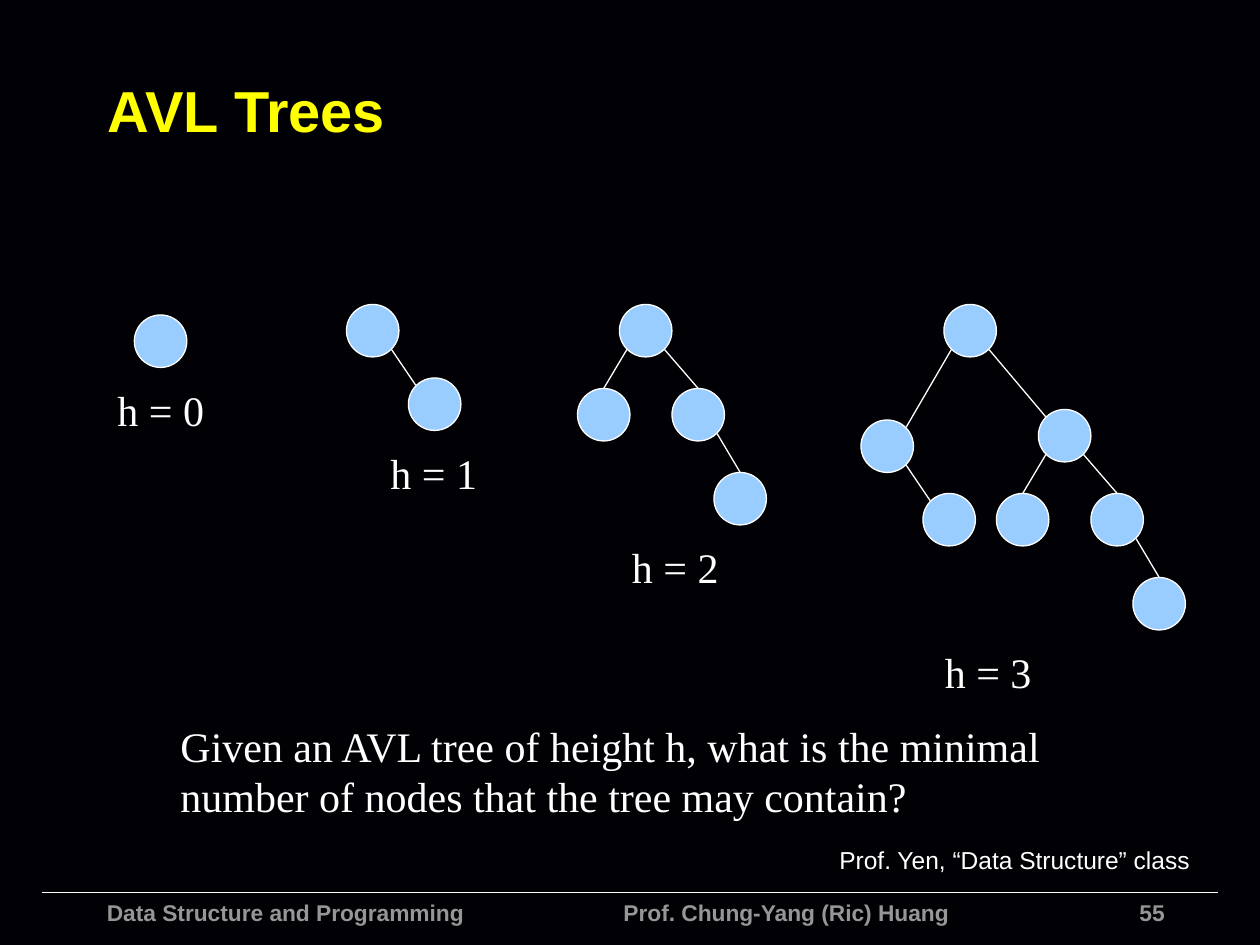
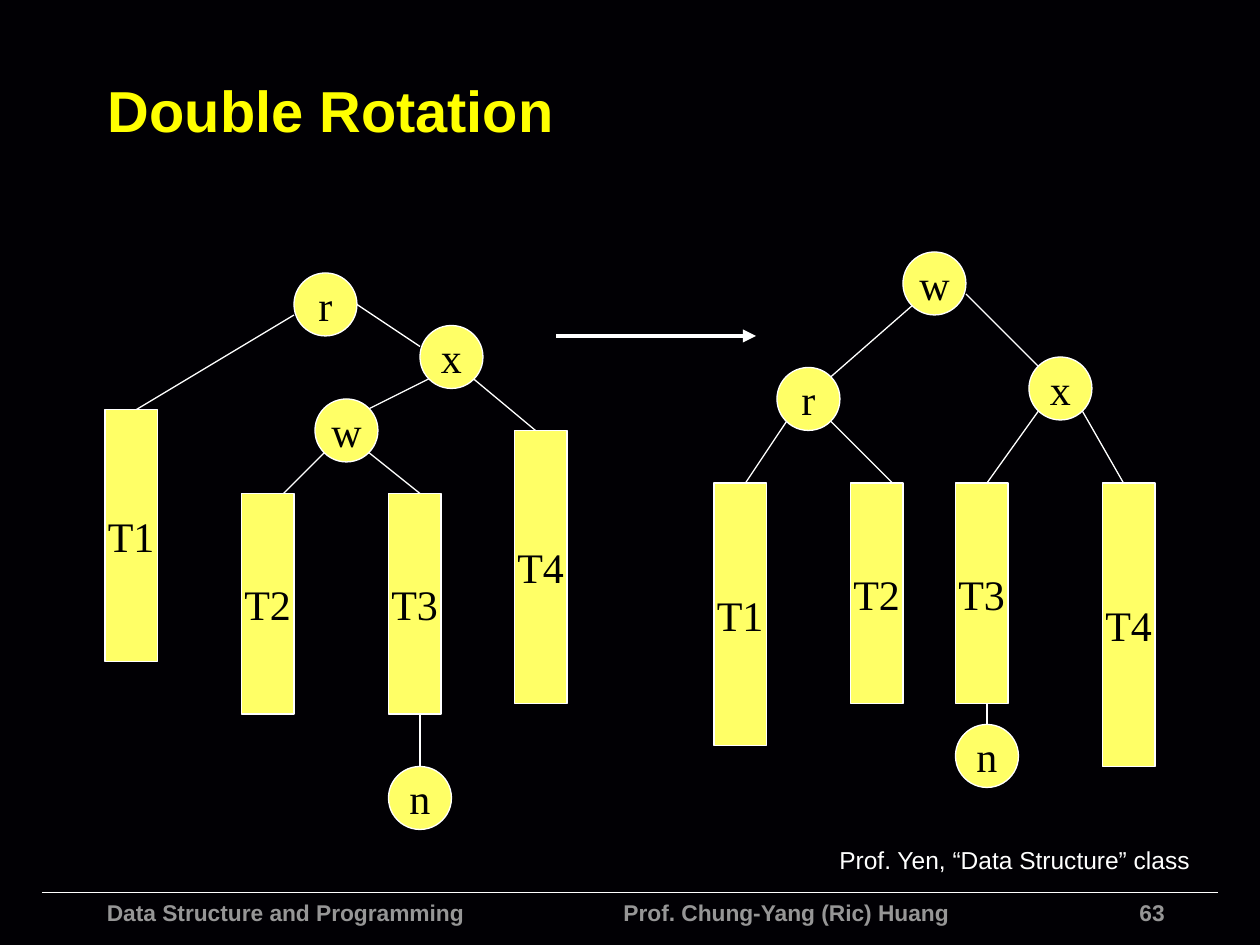
from lxml.etree import SubElement
from pptx import Presentation
from pptx.dml.color import RGBColor
from pptx.enum.shapes import MSO_CONNECTOR, MSO_SHAPE
from pptx.enum.text import MSO_ANCHOR, PP_ALIGN
from pptx.oxml.ns import qn
from pptx.util import Pt

PX = 7620  # EMU per px, 120 px to the inch
COLORS = {
    "background": "010004", "title": "FFFF00", "text": "FFFFFF", "footer": "969696",
    "avl_node": "99CCFF", "rotation": "FFFF66", "label": "000000",
}
SANS, SERIF = "Arial", "Times New Roman"
NODE = 50          # diameter of an AVL tree node
CIRCLE, BAR = 60, 50  # rotation node diameter, subtree bar width

# A tree is a list of children: (dx, dy, where the edge ends, subtree)
TOP, DIAGONAL = "top", "diagonal"
H0 = []
H1 = [(59, 70, DIAGONAL, H0)]
H2 = [(-40, 80, TOP, H0), (50, 80, TOP, [(40, 80, TOP, H0)])]
H3 = [(-79, 110, DIAGONAL, H1), (90, 100, DIAGONAL, H2)]

# Root position, tree, and label offset from the root
AVL_TREES = [
    ((128, 300), H0, (-28, 60)),
    ((330, 290), H1, (30, 130)),
    ((590, 290), H2, (0, 220)),
    ((899, 290), H3, (-11, 320)),
]

# Circles (name, x, y), bars (name, x, y, height) and edges, relative to a box
BEFORE = {
    "circles": [("r", 180, 0), ("w", 200, 120), ("x", 300, 50), ("n", 270, 470)],
    "bars": [("T1", 0, 130, 240), ("T2", 130, 210, 210),
             ("T3", 270, 210, 210), ("T4", 390, 150, 260)],
    "edges": [(180, 40, 30, 130), (240, 30, 300, 70), (310, 100, 250, 130),
              (350, 100, 410, 150), (210, 170, 170, 210), (250, 170, 300, 210),
              (300, 420, 300, 470)],
}
AFTER = {
    "circles": [("w", 180, 0), ("r", 60, 110), ("x", 300, 100), ("n", 230, 450)],
    "bars": [("T1", 0, 220, 250), ("T2", 130, 220, 210),
             ("T3", 230, 220, 210), ("T4", 370, 220, 270)],
    "edges": [(190, 50, 110, 120), (240, 40, 310, 110), (70, 160, 30, 220),
              (110, 160, 170, 220), (310, 150, 260, 220), (350, 150, 390, 220),
              (260, 430, 260, 450)],
}


def rgb(name):
    return RGBColor.from_string(COLORS[name])


def add_run(p, text, size, color, font, bold=False):
    r = p.add_run()
    r.text = text
    r.font.size = Pt(size)
    r.font.name = font
    r.font.bold = bold
    r.font.color.rgb = rgb(color)


def add_text(s, box, text, size, color="text", font=SERIF, bold=False, wrap=True,
             align=PP_ALIGN.LEFT, anchor=MSO_ANCHOR.TOP):
    tf = s.shapes.add_textbox(*(v * PX for v in box)).text_frame
    tf.word_wrap = wrap
    tf.vertical_anchor = anchor
    p = tf.paragraphs[0]
    p.alignment = align
    add_run(p, text, size, color, font, bold)
    return tf


def add_line(s, x1, y1, x2, y2, width=0.75, arrow=False):
    line = s.shapes.add_connector(MSO_CONNECTOR.STRAIGHT, *(v * PX for v in (x1, y1, x2, y2)))
    line.line.color.rgb = rgb("text")
    line.line.width = Pt(width)
    sp_pr = line.line._get_or_add_ln().getparent()
    if arrow:
        SubElement(sp_pr.find(qn("a:ln")), qn("a:tailEnd"), type="triangle")
    SubElement(sp_pr, qn("a:effectLst"))


def add_filled(s, kind, box, fill, text=None):
    sp = s.shapes.add_shape(kind, *(v * PX for v in box))
    sp.shadow.inherit = False
    sp.fill.solid()
    sp.fill.fore_color.rgb = rgb(fill)
    sp.line.color.rgb = rgb("text")
    sp.line.width = Pt(0.75)
    if text:
        tf = sp.text_frame
        tf.word_wrap = False
        tf.vertical_anchor = MSO_ANCHOR.MIDDLE
        p = tf.paragraphs[0]
        p.alignment = PP_ALIGN.CENTER
        add_run(p, text, 24, "label", SERIF)


def add_footer(s, number):
    add_line(s, 40, 850, 1160, 850, width=1)
    add_text(s, (740, 850, 381, 22), str(number), 13, "footer", SANS, True,
             align=PP_ALIGN.RIGHT)
    tf = add_text(s, (90, 850, 869, 50), "Data Structure and Programming", 13,
                  "footer", SANS, True)
    p = tf.paragraphs[0]
    tabs = SubElement(p._p.get_or_add_pPr(), qn("a:tabLst"))
    SubElement(tabs, qn("a:tab"), pos=str(492 * PX), algn="l")
    add_run(p, "\tProf. Chung-Yang (Ric) Huang", 13, "footer", SANS, True)


def new_slide(prs, title, number):
    s = prs.slides.add_slide(prs.slide_layouts[6])
    s.background.fill.solid()
    s.background.fill.fore_color.rgb = rgb("background")
    add_footer(s, number)
    add_text(s, (91, 44, 1061, 121), title, 33, "title", SANS, True,
             anchor=MSO_ANCHOR.MIDDLE)
    # Credit line
    tf = add_text(s, (793, 799, 347, 40), "Prof. Yen, “Data Structure” class", 14,
                  font=SANS, wrap=False, align=PP_ALIGN.CENTER)
    tf.margin_left = tf.margin_right = 6 * PX
    return s


def draw_tree(s, x, y, children):
    """Draw a node at x, y, then its children and the edges to them."""
    add_filled(s, MSO_SHAPE.OVAL, (x, y, NODE, NODE), "avl_node")
    mid = NODE // 2
    reach = round(mid * 0.71)  # a 45 degree point on the circle
    for dx, dy, end, subtree in children:
        side = reach if dx > 0 else -reach
        cx, cy = x + dx + mid, y + dy + mid
        target = (cx, cy - mid) if end == TOP else (cx - side, cy - reach)
        add_line(s, x + mid + side, y + mid + reach, *target)
        draw_tree(s, x + dx, y + dy, subtree)


def draw_rotation(s, left, top, tree):
    for x1, y1, x2, y2 in tree["edges"]:
        add_line(s, left + x1, top + y1, left + x2, top + y2)
    for name, x, y, height in tree["bars"]:
        add_filled(s, MSO_SHAPE.RECTANGLE, (left + x, top + y, BAR, height), "rotation", name)
    for name, x, y in tree["circles"]:
        add_filled(s, MSO_SHAPE.OVAL, (left + x, top + y, CIRCLE, CIRCLE), "rotation", name)


def avl_slide(prs):
    s = new_slide(prs, "AVL Trees", 55)
    for height, ((x, y), tree, (dx, dy)) in enumerate(AVL_TREES):
        draw_tree(s, x, y, tree)
        add_text(s, (x + dx, y + dy, 107, 60), f"h = {height}", 24, wrap=False)
    add_text(s, (160, 680, 882, 108),
             "Given an AVL tree of height h, what is the minimal "
             "number of nodes that the tree may contain?", 24)


def rotation_slide(prs):
    s = new_slide(prs, "Double Rotation", 63)
    draw_rotation(s, 100, 260, BEFORE)
    draw_rotation(s, 680, 240, AFTER)
    add_line(s, 530, 320, 720, 320, width=2.5, arrow=True)


def main():
    prs = Presentation()
    prs.slide_width, prs.slide_height = 1200 * PX, 900 * PX
    avl_slide(prs)
    rotation_slide(prs)
    prs.save("out.pptx")


if __name__ == "__main__":
    main()
